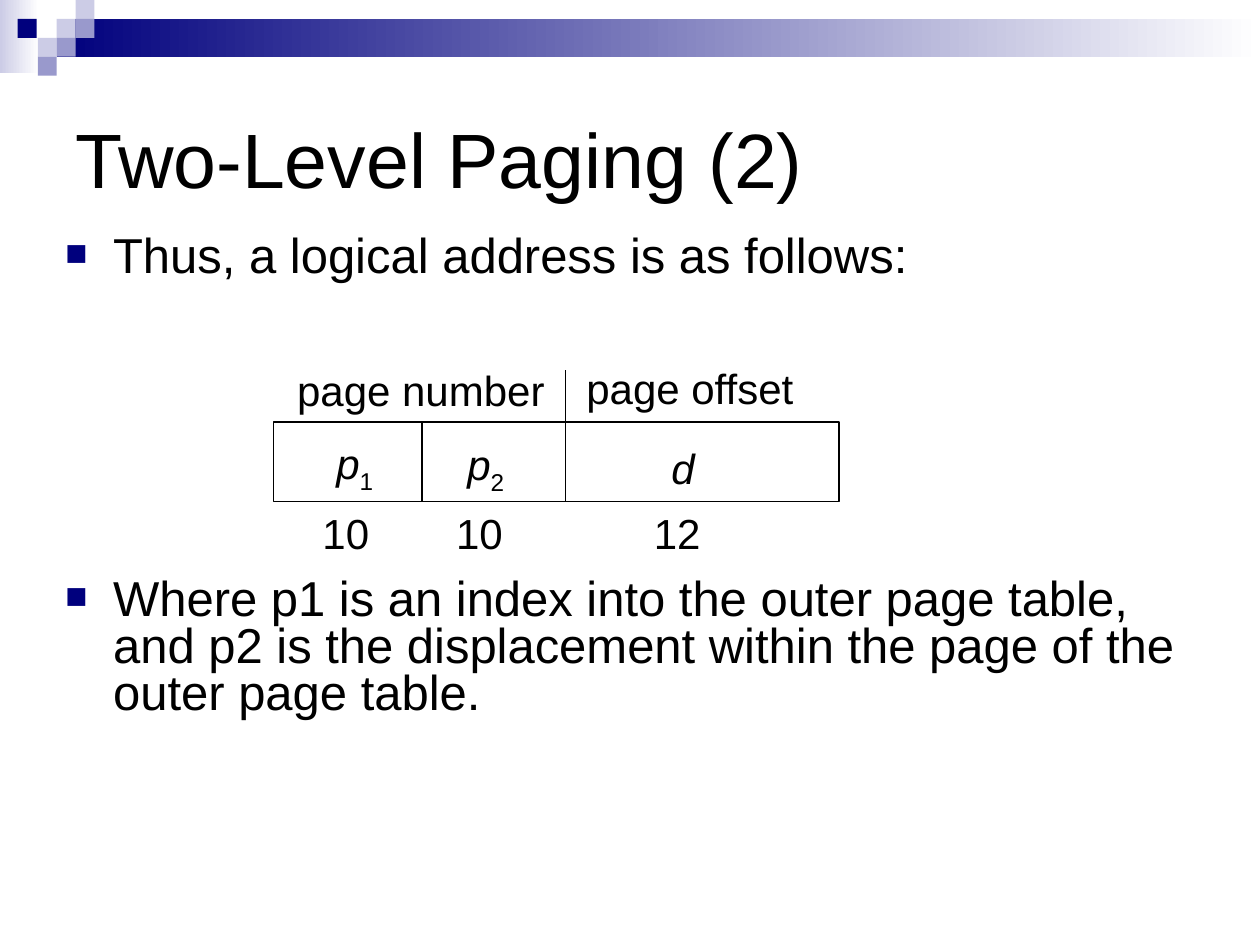
from dataclasses import dataclass

from lxml import etree
from pptx import Presentation, util as u
from pptx.dml.color import RGBColor
from pptx.enum import shapes, text as t
from pptx.oxml.ns import qn

PX = 9144  # EMU per px, 100 px to the inch
FONT = "Arial"
COLORS = {"navy": "00007D", "mid": "9999CC", "pale": "CCCCE6",
          "white": "FFFFFF", "black": "000000"}


@dataclass
class Box:
    x: int
    y: int
    w: int
    h: int

    def emu(self) -> list[int]:
        return [v * PX for v in (self.x, self.y, self.w, self.h)]


@dataclass
class Label:
    box: Box
    text: str
    italic: bool = False
    sub: str = ""


def rgb(name: str) -> RGBColor:
    return RGBColor.from_string(COLORS[name])


def draw_rect(slide, box: Box, color: str, fade: str = "", line: str = "") -> None:
    rect = slide.shapes.add_shape(shapes.MSO_SHAPE.RECTANGLE, *box.emu())
    rect.shadow.inherit = False
    if fade:
        rect.fill.gradient()
        rect.fill.gradient_angle = 0
        for stop, name in zip(rect.fill.gradient_stops, (color, fade)):
            stop.color.rgb = rgb(name)
    else:
        rect.fill.solid()
        rect.fill.fore_color.rgb = rgb(color)
    if line:
        rect.line.color.rgb = rgb(line)
        rect.line.width = u.Pt(0.75)
    else:
        rect.line.fill.background()


def draw_line(slide, x: int, top: int, end: int) -> None:
    line = slide.shapes.add_connector(
        shapes.MSO_CONNECTOR.STRAIGHT, x * PX, top * PX, x * PX, end * PX)
    line.line.color.rgb = rgb("black")
    line.line.width = u.Pt(0.75)
    etree.SubElement(line._element.spPr, qn("a:effectLst"))


def add_bullet(para) -> None:
    props = para._p.get_or_add_pPr()
    props.set("marL", str(38 * PX))
    props.set("indent", str(-38 * PX))
    color = etree.SubElement(props, qn("a:buClr"))
    etree.SubElement(color, qn("a:srgbClr"), val=COLORS["navy"])
    etree.SubElement(props, qn("a:buSzPct"), val="75000")
    etree.SubElement(props, qn("a:buFont"), typeface=FONT)
    etree.SubElement(props, qn("a:buChar"), char="■")


def add_run(para, text: str, size: int, italic: bool = False):
    run = para.add_run()
    run.text = text
    run.font.name = FONT
    run.font.size = u.Pt(size)
    run.font.italic = italic
    run.font.color.rgb = rgb("black")
    return run


def put_text(slide, box: Box, text: str, *, size: int, italic: bool = False,
             sub: str = "", wrap: bool = True, bullet: bool = False,
             align=t.PP_ALIGN.LEFT, anchor=t.MSO_ANCHOR.MIDDLE,
             pitch: float = 1.0, gap: int = 0) -> None:
    frame = slide.shapes.add_textbox(*box.emu()).text_frame
    frame.word_wrap = wrap
    if not wrap:
        frame.auto_size = t.MSO_AUTO_SIZE.SHAPE_TO_FIT_TEXT
    frame.vertical_anchor = anchor
    for i, part in enumerate(text.split("\n")):
        para = frame.add_paragraph() if i else frame.paragraphs[0]
        if bullet:
            add_bullet(para)
        para.alignment = align
        para.line_spacing = pitch
        if i:
            para.space_before = u.Pt(gap)
        add_run(para, part, size, italic)
        if sub:
            low = add_run(para, sub, size)
            low.font._element.set("baseline", "-25000")


def main() -> None:
    deck = Presentation()
    deck.slide_width, deck.slide_height = 1000 * PX, 750 * PX
    slide = deck.slides.add_slide(deck.slide_layouts[6])

    # Header band and its mosaic of squares
    draw_rect(slide, Box(0, 0, 31, 58), "pale", fade="white")
    draw_rect(slide, Box(45, 15, 955, 30), "navy", fade="white")
    tiles = [(45, 15, "pale"), (60, 0, "pale"), (60, 15, "mid"),
             (30, 30, "pale"), (14, 15, "navy"), (45, 30, "mid"),
             (30, 45, "mid")]
    for x, y, color in tiles:
        draw_rect(slide, Box(x, y, 15, 15), color)

    # Title and bullets, with room for the diagram between them
    put_text(slide, Box(50, 50, 900, 150), "Two-Level Paging (2)", size=44)
    put_text(slide, Box(42, 182, 900, 425),
             "Thus, a logical address is as follows:\n"
             "Where p1 is an index into the outer page table, and p2 is the "
             "displacement within the page of the outer page table.",
             size=28, bullet=True, anchor=t.MSO_ANCHOR.TOP, pitch=0.8, gap=169)

    # Address layout
    draw_rect(slide, Box(217, 335, 449, 63), "white", line="black")
    draw_line(slide, 335, 335, 398)
    draw_line(slide, 449, 294, 398)
    labels = [
        Label(Box(224, 284, 220, 50), "page number"),
        Label(Box(453, 283, 189, 50), "page offset"),
        Label(Box(257, 342, 49, 56), "p", True, "1"),
        Label(Box(361, 343, 49, 56), "p", True, "2"),
        Label(Box(523, 346, 38, 50), "d", True),
        Label(Box(246, 398, 57, 50), "10"),
        Label(Box(352, 398, 57, 50), "10"),
        Label(Box(509, 398, 57, 50), "12"),
    ]
    for label in labels:
        put_text(slide, label.box, label.text, size=24, italic=label.italic,
                 sub=label.sub, wrap=False, align=t.PP_ALIGN.CENTER)

    deck.save("out.pptx")


if __name__ == "__main__":
    main()
